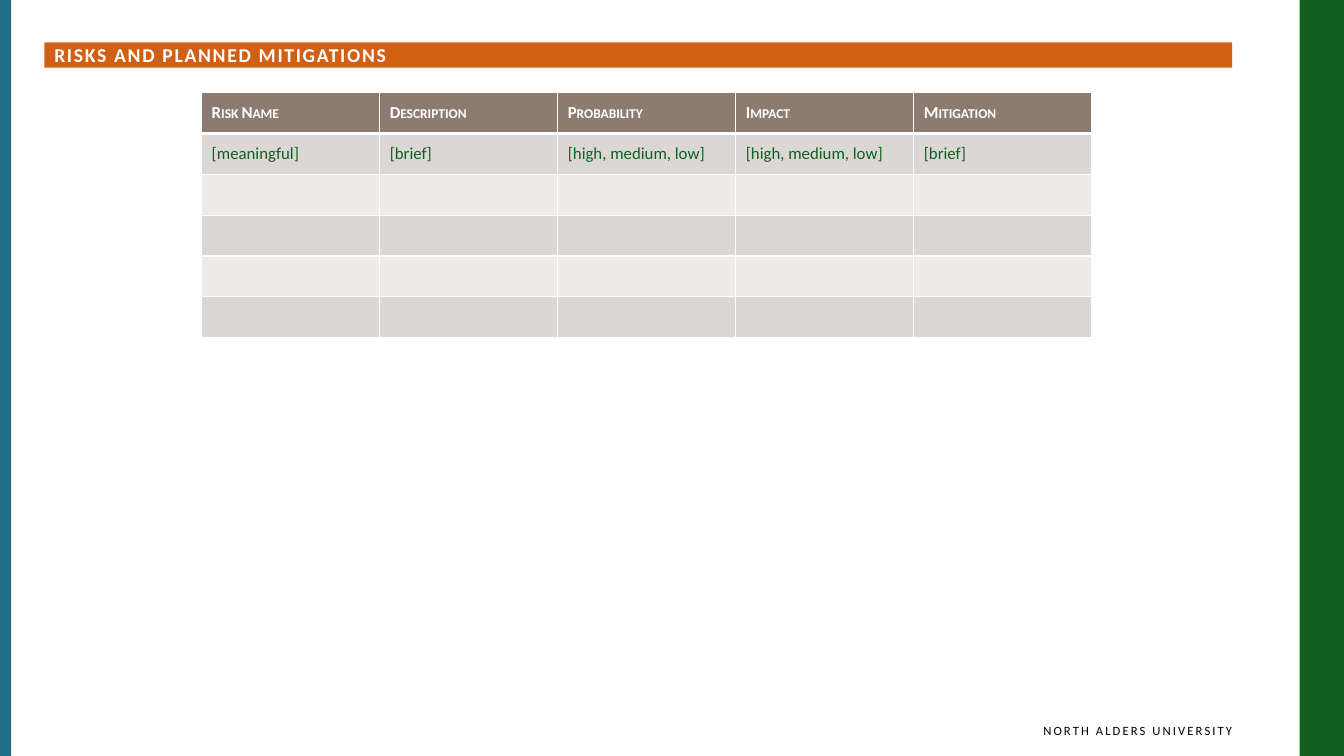
import pptx
import pptx.dml.color
import pptx.enum.shapes
import pptx.enum.text
import pptx.oxml.ns
import pptx.util
from lxml import etree

Inches = pptx.util.Inches
Anchor = pptx.enum.text.MSO_ANCHOR
Align = pptx.enum.text.PP_ALIGN

# Content
TITLE = "RISKS AND PLANNED MITIGATIONS"
FOOTER = "NORTH ALDERS UNIVERSITY"
HEADINGS = ["Risk Name", "Description", "Probability", "Impact", "Mitigation"]
EXAMPLE = ["[meaningful]", "[brief]", "[high, medium, low]", "[high, medium, low]", "[brief]"]
EMPTY_ROWS = 4
RISKS = [HEADINGS, EXAMPLE] + [[""] * len(HEADINGS)] * EMPTY_ROWS

# Style
FONT = "Calibri"
WHITE, BLACK, GREEN, TEAL, ORANGE = "FFFFFF", "000000", "116020", "1E6E86", "D26014"
HEADER_FILL = "8C7B70"
BAND_FILLS = ["EEECEB", "DAD7D5"]

# Layout in inches
WIDTH, HEIGHT = 13.33, 7.5
TABLE_LEFT, TABLE_TOP, TABLE_WIDTH, TABLE_HEIGHT = 2, 0.92, 8.83, 2.43


def color(value):
    return pptx.dml.color.RGBColor.from_string(value)


def add_bar(page, place, fill):
    bar = page.shapes.add_shape(pptx.enum.shapes.MSO_SHAPE.RECTANGLE, *map(Inches, place))
    bar.shadow.inherit = False
    bar.fill.solid()
    bar.fill.fore_color.rgb = color(fill)
    bar.line.fill.background()
    return bar


def set_frame(frame, anchor, margins):
    frame.word_wrap = True
    frame.vertical_anchor = anchor
    frame.margin_left, frame.margin_top, frame.margin_right, frame.margin_bottom = map(Inches, margins)


def write(frame, text, size, ink, bold=False, align=Align.LEFT, **extras):
    """Fill a frame with one line; extras are run attributes such as spc or cap."""
    frame.text = text
    para = frame.paragraphs[0]
    para.alignment = align
    para.font.size = pptx.util.Pt(size)
    for span in para.runs:
        span.font.name = FONT
        span.font.size = pptx.util.Pt(size)
        span.font.bold = bold
        span.font.color.rgb = color(ink)
        for name, value in extras.items():
            span.font._element.set(name, value)


def add_borders(cell, widths):
    """Draw white borders; widths are points by side, in L, R, T, B order."""
    properties = cell._tc.get_or_add_tcPr()
    for side, width in widths.items():
        line = etree.SubElement(properties, pptx.oxml.ns.qn("a:ln" + side), w=str(pptx.util.Pt(width)))
        fill = etree.SubElement(line, pptx.oxml.ns.qn("a:solidFill"))
        etree.SubElement(fill, pptx.oxml.ns.qn("a:srgbClr"), val=WHITE)


deck = pptx.Presentation()
deck.slide_width, deck.slide_height = Inches(WIDTH), Inches(HEIGHT)
page = deck.slides.add_slide(deck.slide_layouts[6])

# Side bars
add_bar(page, (12.89, 0, 0.44, HEIGHT), GREEN)
add_bar(page, (0, 0, 0.11, HEIGHT), TEAL)

# Footer
footer = page.shapes.add_textbox(*map(Inches, (6.78, 7.08, 5.44, 0.33))).text_frame
set_frame(footer, Anchor.MIDDLE, (0.1, 0.05, 0, 0.05))
write(footer, FOOTER, 9, BLACK, align=Align.RIGHT, spc="150")

# Title banner
banner = add_bar(page, (0.44, 0.42, 11.78, 0.25), ORANGE).text_frame
set_frame(banner, Anchor.MIDDLE, (0.1, 0, 0.1, 0))
write(banner, TITLE, 14, WHITE, bold=True, spc="120")

# Risk table
place = map(Inches, (TABLE_LEFT, TABLE_TOP, TABLE_WIDTH, TABLE_HEIGHT))
table = page.shapes.add_table(len(RISKS), len(HEADINGS), *place).table
for column in table.columns:
    column.width = Inches(TABLE_WIDTH / len(HEADINGS))
for row in table.rows:
    row.height = Inches(TABLE_HEIGHT / len(RISKS))

for row_index, texts in enumerate(RISKS):
    is_header = row_index == 0
    for column_index, text in enumerate(texts):
        cell = table.cell(row_index, column_index)
        cell.vertical_anchor = Anchor.MIDDLE
        add_borders(cell, {"L": 1, "R": 1, "T": 3 if row_index == 1 else 1, "B": 3 if is_header else 1})
        cell.fill.solid()
        cell.fill.fore_color.rgb = color(HEADER_FILL if is_header else BAND_FILLS[row_index % 2])
        if is_header:
            write(cell.text_frame, text, 12, WHITE, bold=True, cap="small")
        else:
            write(cell.text_frame, text, 12, GREEN)

deck.save("out.pptx")
